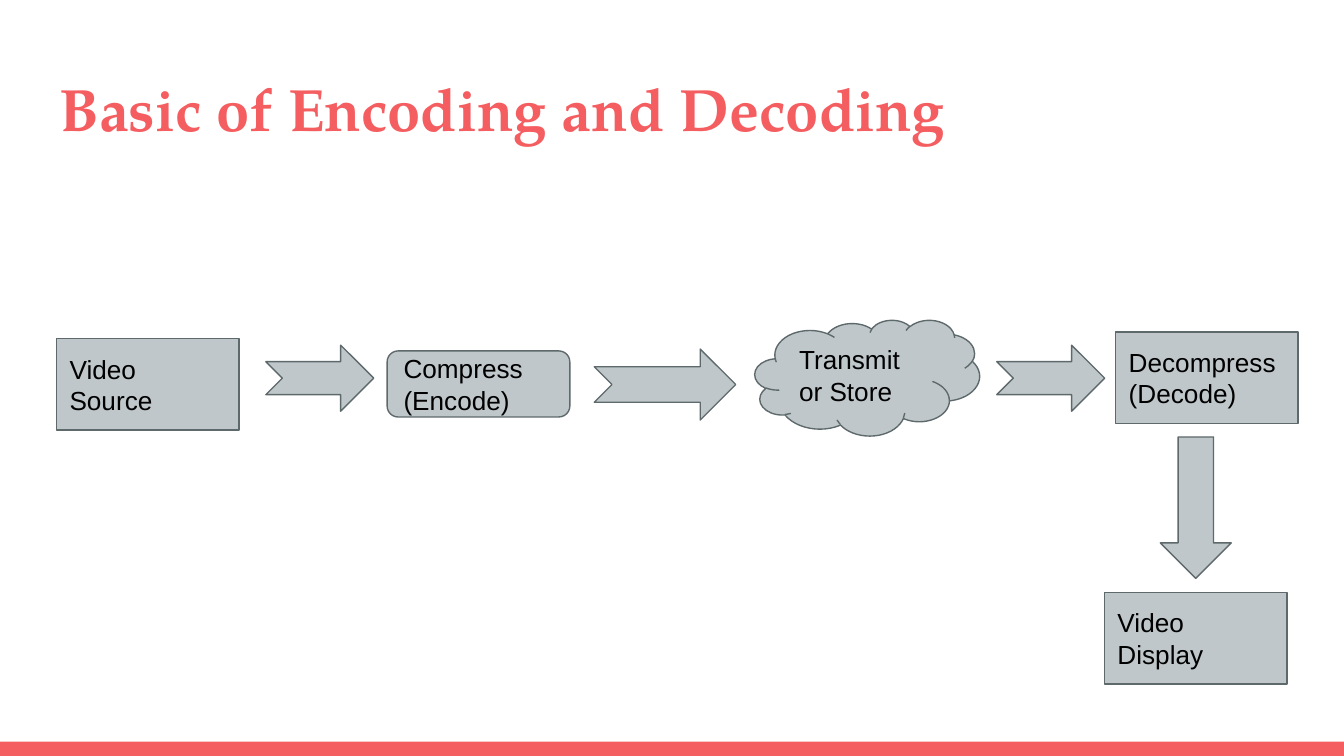
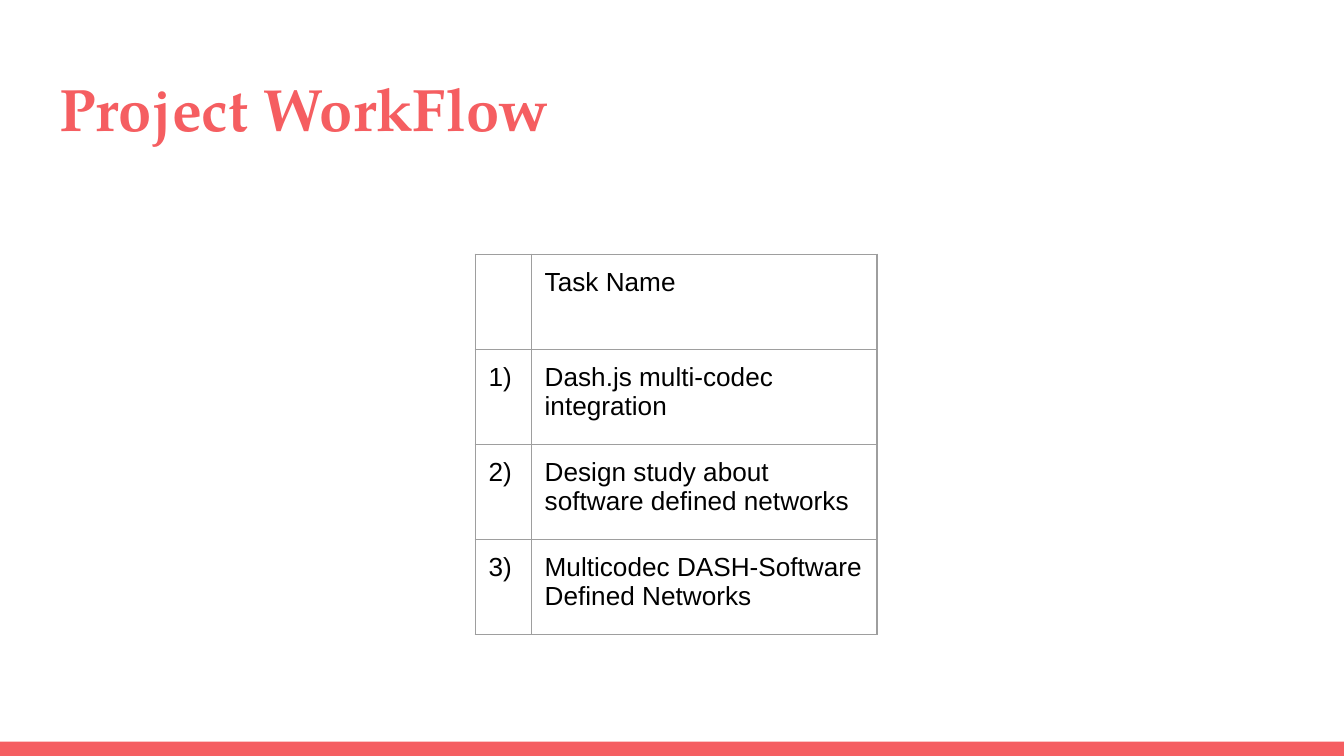
from lxml import etree
from pptx import Presentation
from pptx.dml.color import RGBColor
from pptx.enum.shapes import MSO_SHAPE
from pptx.enum.text import MSO_ANCHOR, MSO_AUTO_SIZE, PP_ALIGN
from pptx.oxml.ns import qn
from pptx.util import Pt

CORAL = RGBColor(0xF5, 0x5E, 0x61)
PALE_GREY = RGBColor(0xBF, 0xC7, 0xCA)
SLATE = RGBColor(0x5E, 0x69, 0x6C)
GRID_GREY = RGBColor(0x9E, 0x9E, 0x9E)
BLACK = RGBColor(0, 0, 0)

SLIDE_W, SLIDE_H = 720, 405
BAND_H = 7.6
INSET = 7.2
LINE_W = 0.75
STAGE_W, STAGE_H = 97.9, 49
TITLE_FONT, BODY_FONT = "TeX Gyre Pagella", "Arial"


def write(frame, text, *, size=14, font=BODY_FONT, color=BLACK, bold=False):
    """Fill a text frame, one left-aligned paragraph for each line of text."""
    frame.text = text
    for paragraph in frame.paragraphs:
        paragraph.alignment = PP_ALIGN.LEFT
        for run in paragraph.runs:
            run.font.name = font
            run.font.size = Pt(size)
            run.font.bold = bold
            run.font.color.rgb = color


def set_insets(holder):
    """Give a text frame or a table cell the common margin on all sides."""
    holder.margin_left = holder.margin_right = Pt(INSET)
    holder.margin_top = holder.margin_bottom = Pt(INSET)


def add_filled(slide, kind, left, top, width, height, *, fill, line=None):
    """Draw a flat preset shape, outlined if a line colour is given."""
    shape = slide.shapes.add_shape(kind, Pt(left), Pt(top), Pt(width), Pt(height))
    shape.shadow.inherit = False
    shape.fill.solid()
    shape.fill.fore_color.rgb = fill
    if line is None:
        shape.line.fill.background()
    else:
        shape.line.color.rgb = line
        shape.line.width = Pt(LINE_W)
    return shape


def add_footer_band(slide):
    """Draw the footer band and move it to the layout that all slides share."""
    band = add_filled(slide, MSO_SHAPE.RECTANGLE, 0, SLIDE_H - BAND_H,
                      SLIDE_W, BAND_H, fill=CORAL)
    slide.slide_layout.shapes.element.append(band.element)


def add_titled_slide(prs, heading):
    """Add a slide with the common title style."""
    slide = prs.slides.add_slide(prs.slide_layouts[5])
    title = slide.shapes.title
    title.left, title.top = Pt(24.5), Pt(31)
    title.width, title.height = Pt(671), Pt(49)
    frame = title.text_frame
    frame.word_wrap = True
    frame.auto_size = MSO_AUTO_SIZE.NONE
    frame.vertical_anchor = MSO_ANCHOR.TOP
    set_insets(frame)
    write(frame, heading, size=32, font=TITLE_FONT, color=CORAL, bold=True)
    return slide


def draw_flow(slide, left, top):
    """Draw the video chain, its stages and arrows offset from left and top."""
    stages = [
        (MSO_SHAPE.RECTANGLE, 0, 10, STAGE_W, STAGE_H, "Video Source"),
        (MSO_SHAPE.ROUNDED_RECTANGLE, 177.2, 16.6, STAGE_W, 35.4,
         "Compress\n(Encode)"),
        (MSO_SHAPE.CLOUD, 374.2, 0, 120.4, 62, "Transmit or Store"),
        (MSO_SHAPE.RECTANGLE, 567.4, 6.4, STAGE_W, STAGE_H,
         "Decompress\n(Decode)"),
        (MSO_SHAPE.RECTANGLE, 561.4, 146, STAGE_W, STAGE_H, "Video Display"),
    ]
    arrows = [
        (MSO_SHAPE.NOTCHED_RIGHT_ARROW, 112.2, 13.5, 57.8, 35.4),
        (MSO_SHAPE.NOTCHED_RIGHT_ARROW, 288.2, 15.6, 75.8, 38),
        (MSO_SHAPE.NOTCHED_RIGHT_ARROW, 503.8, 13.5, 57.8, 35.4),
        (MSO_SHAPE.DOWN_ARROW, 591.4, 62.7, 38, 75.8),
    ]
    for kind, x, y, width, height, label in stages:
        stage = add_filled(slide, kind, left + x, top + y, width, height,
                           fill=PALE_GREY, line=SLATE)
        frame = stage.text_frame
        frame.word_wrap = True
        frame.vertical_anchor = MSO_ANCHOR.MIDDLE
        set_insets(frame)
        write(frame, label)
    for kind, x, y, width, height in arrows:
        add_filled(slide, kind, left + x, top + y, width, height,
                   fill=PALE_GREY, line=SLATE)


def set_borders(cell):
    """Outline a table cell; borders must come before its fill in the XML."""
    properties = cell._tc.get_or_add_tcPr()
    for place, side in enumerate(("a:lnL", "a:lnR", "a:lnT", "a:lnB")):
        border = etree.Element(qn(side), w=str(Pt(LINE_W)))
        fill = etree.SubElement(border, qn("a:solidFill"))
        etree.SubElement(fill, qn("a:srgbClr"), val=str(GRID_GREY))
        properties.insert(place, border)


def draw_task_table(slide, left, top, column_widths, row_height):
    """Draw the numbered list of tasks as a plain grid."""
    tasks = ["Dash.js multi-codec integration",
             "Design study about software defined networks",
             "Multicodec DASH-Software Defined Networks"]
    rows = [("", "Task Name")]
    rows += [(f"{number})", task) for number, task in enumerate(tasks, 1)]
    table = slide.shapes.add_table(
        len(rows), len(column_widths), Pt(left), Pt(top),
        Pt(sum(column_widths)), Pt(row_height * len(rows))).table
    table.first_row = table.horz_banding = False
    for column, width in zip(table.columns, column_widths):
        column.width = Pt(width)
    for r, texts in enumerate(rows):
        table.rows[r].height = Pt(row_height)
        for c, text in enumerate(texts):
            cell = table.cell(r, c)
            cell.fill.background()
            set_borders(cell)
            set_insets(cell)
            if text:
                write(cell.text_frame, text)


def main():
    """Build both slides and save them."""
    prs = Presentation()
    prs.slide_width, prs.slide_height = Pt(SLIDE_W), Pt(SLIDE_H)

    encoding = add_titled_slide(prs, "Basic of Encoding and Decoding")
    add_footer_band(encoding)
    draw_flow(encoding, 30.2, 171.4)

    workflow = add_titled_slide(prs, "Project WorkFlow")
    draw_task_table(workflow, 254.6, 136.2, (30, 185.2), 50.9)

    prs.save("out.pptx")


main()
